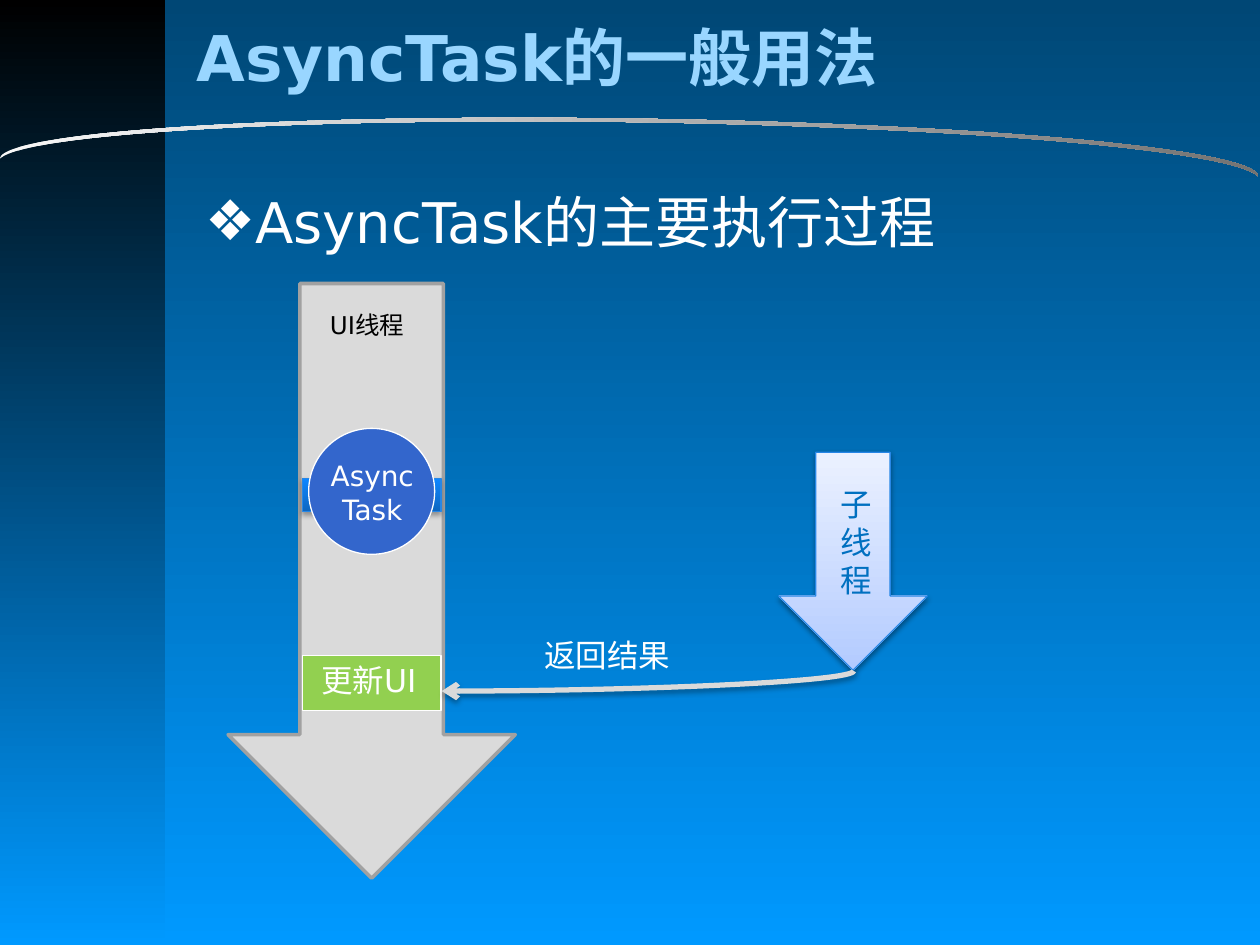
from lxml.etree import SubElement as Sub
from pptx import Presentation
from pptx.dml.color import RGBColor as RGB
from pptx.enum.shapes import MSO_CONNECTOR as Conn, MSO_SHAPE as Shape
from pptx.enum.text import MSO_ANCHOR as Anchor, PP_ALIGN as Align
from pptx.oxml.ns import qn
from pptx.util import Inches, Pt

FONT = "DejaVu Sans"
BACK = ("004775", "0099FF")
SHAPES = [
    (Shape.RECTANGLE, (0, 0, 1.31, 7.5), dict(fill=("000000", "0099FF"))),
    (Shape.MOON, (4.8, -3.86, 0.39, 9.99),
     dict(fill=("F8F8F8", "737373"), turn=270.8, flip=True, adj=0.071)),
    (Shape.DOWN_ARROW, (1.81, 2.25, 2.28, 4.72),
     dict(fill="DADADA", line="A1A1A1", width=2)),
    (Shape.DOWN_ARROW, (6.18, 3.59, 1.18, 1.73),
     dict(fill=("EBF1FF", "B3CBFF"), line="2787E6", shade=(38, 1.6))),
    (Shape.RECTANGLE, (2.4, 3.8, 1.1, 0.26),
     dict(fill=("0E86FF", "0D67C1"), line="2787E6", shade=(35, 1.8))),
    (Shape.OVAL, (2.45, 3.4, 1, 1), dict(fill="3366CC", line="FFFFFF")),
    (Shape.RECTANGLE, (2.4, 5.2, 1.1, 0.44), dict(fill="92D050", line="FFFFFF")),
]
TEXTS = [
    ("AsyncTask的一般用法", (1.46, 0.11, 7.58, 0.67),
     dict(size=36, color="99D6FF", bold=True, anchor=Anchor.MIDDLE)),
    ("AsyncTask的主要执行过程", (1.53, 1.44, 8.27, 0.74),
     dict(size=32, bullet="❖", before=6.4)),
    ("UI线程", (2.52, 2.41, 0.87, 0.34), dict(size=14, color="000000")),
    ("子线程", (6.57, 3.8, 0.39, 1.01), dict(color="0070C0")),
    ("AsyncTask", (2.52, 3.59, 0.87, 0.64), dict(size=16, align=Align.CENTER)),
    ("返回结果", (4.09, 5, 1.46, 0.4), dict(align=Align.CENTER)),
    ("更新UI", (2.45, 5.2, 1.05, 0.4), {}),
]


def hue(code):
    return RGB.from_string(code)


def paint(fill, color):
    if isinstance(color, str):
        fill.solid()
        fill.fore_color.rgb = hue(color)
        return
    fill.gradient()
    fill.gradient_angle = 270
    for stop, code in zip(fill.gradient_stops, color):
        stop.color.rgb = hue(code)


def cast(item, shade=None):
    props = item._element.spPr
    for old in props.findall(qn("a:effectLst")):
        props.remove(old)
    box = Sub(props, qn("a:effectLst"))
    if shade:
        alpha, dist = shade
        outer = Sub(box, qn("a:outerShdw"), blurRad=str(Pt(3.1)),
                    dist=str(Pt(dist)), dir="5400000", rotWithShape="0")
        black = Sub(outer, qn("a:srgbClr"), val="000000")
        Sub(black, qn("a:alpha"), val=str(alpha * 1000))


def draw(slide, kind, at, fill, line=None, width=0.75, turn=0, flip=False,
         adj=None, shade=None):
    item = slide.shapes.add_shape(kind, *map(Inches, at))
    item.rotation = turn
    if flip:
        item._element.spPr.xfrm.set("flipH", "1")
    if adj is not None:
        item.adjustments[0] = adj
    paint(item.fill, fill)
    if line:
        item.line.color.rgb = hue(line)
        item.line.width = Pt(width)
    else:
        item.line.fill.background()
    cast(item, shade)


def write(slide, text, at, size=18, color="FFFFFF", bold=False,
          align=Align.LEFT, anchor=Anchor.TOP, bullet=None, before=0):
    frame = slide.shapes.add_textbox(*map(Inches, at)).text_frame
    frame.word_wrap = True
    frame.vertical_anchor = anchor
    para = frame.paragraphs[0]
    para.alignment = align
    para.space_before = Pt(before)
    if bullet:
        props = para._p.get_or_add_pPr()
        props.set("marL", str(Inches(0.38)))
        props.set("indent", str(Inches(-0.38)))
        Sub(props, qn("a:buFont"), typeface=FONT)
        Sub(props, qn("a:buChar"), char=bullet)
    run = para.add_run()
    run.text = text
    font = run.font
    font.name, font.size, font.bold = FONT, Pt(size), bold
    font.color.rgb = hue(color)


def bend(slide):
    left, top, wide, high = 5.06, 3.77, 0.16, 3.27
    link = slide.shapes.add_connector(
        Conn.CURVE, *map(Inches, (left, top, left + wide, top + high)))
    props = link._element.spPr
    props.find(qn("a:xfrm")).set("rot", "5400000")
    props.find(qn("a:prstGeom")).set("prst", "curvedConnector2")
    link.line.color.rgb = hue("DADADA")
    link.line.width = Pt(3)
    Sub(props.find(qn("a:ln")), qn("a:tailEnd"), type="arrow")
    cast(link, (35, 1.8))


def main():
    deck = Presentation()
    deck.slide_width, deck.slide_height = Inches(10), Inches(7.5)
    slide = deck.slides.add_slide(deck.slide_layouts[6])
    paint(slide.background.fill, BACK)
    for kind, at, look in SHAPES:
        draw(slide, kind, at, **look)
    bend(slide)
    for text, at, look in TEXTS:
        write(slide, text, at, **look)
    deck.save("out.pptx")


if __name__ == "__main__":
    main()
